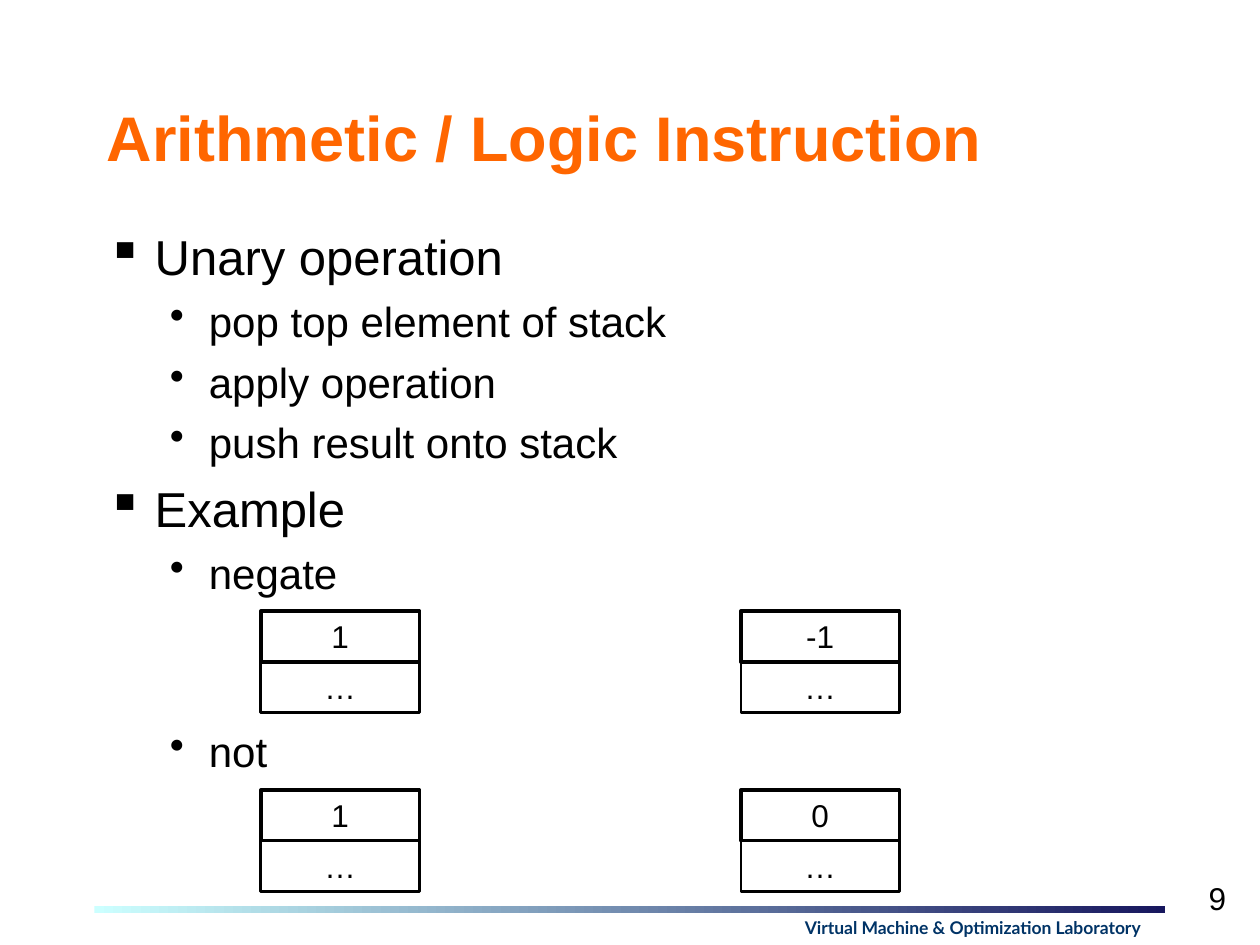
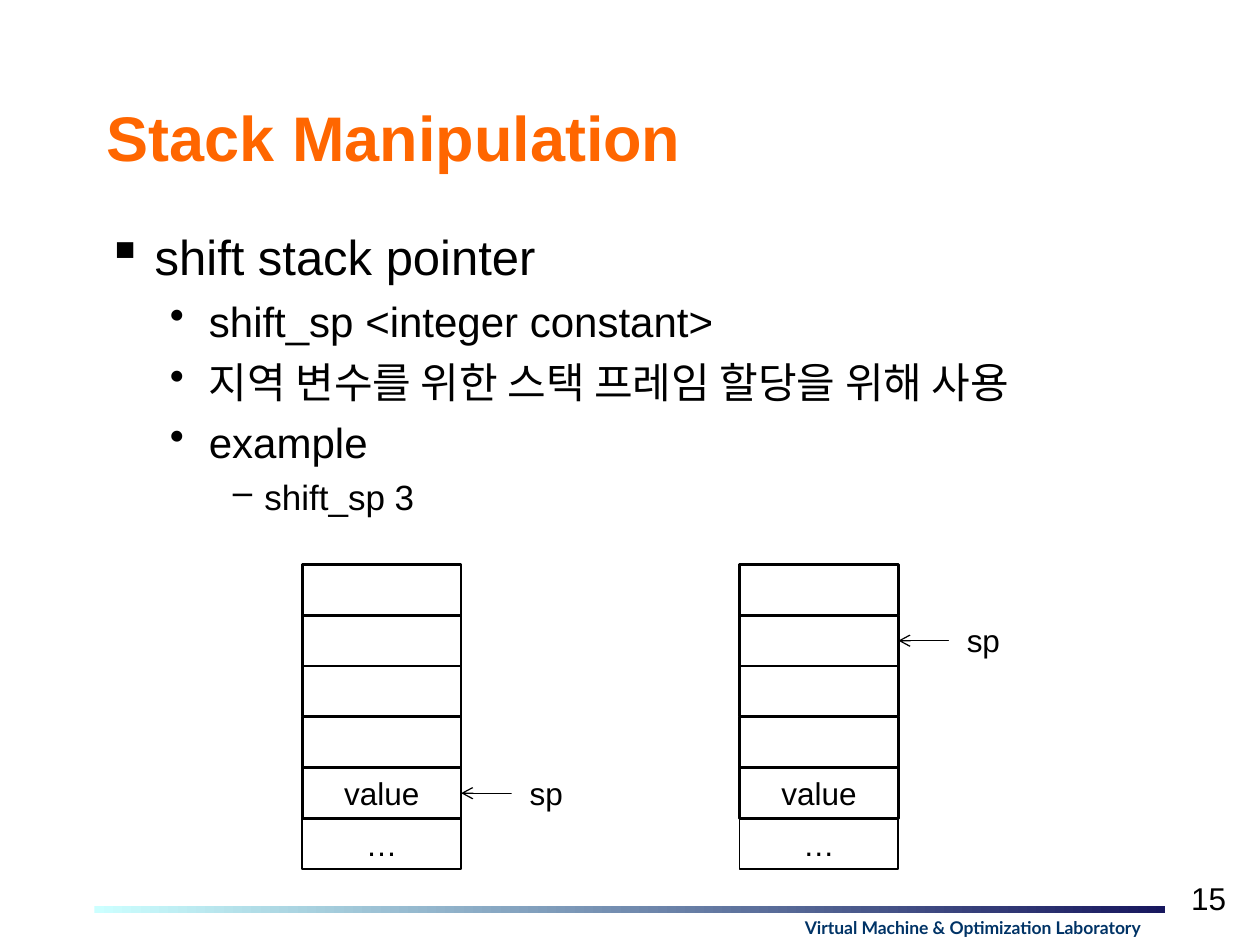
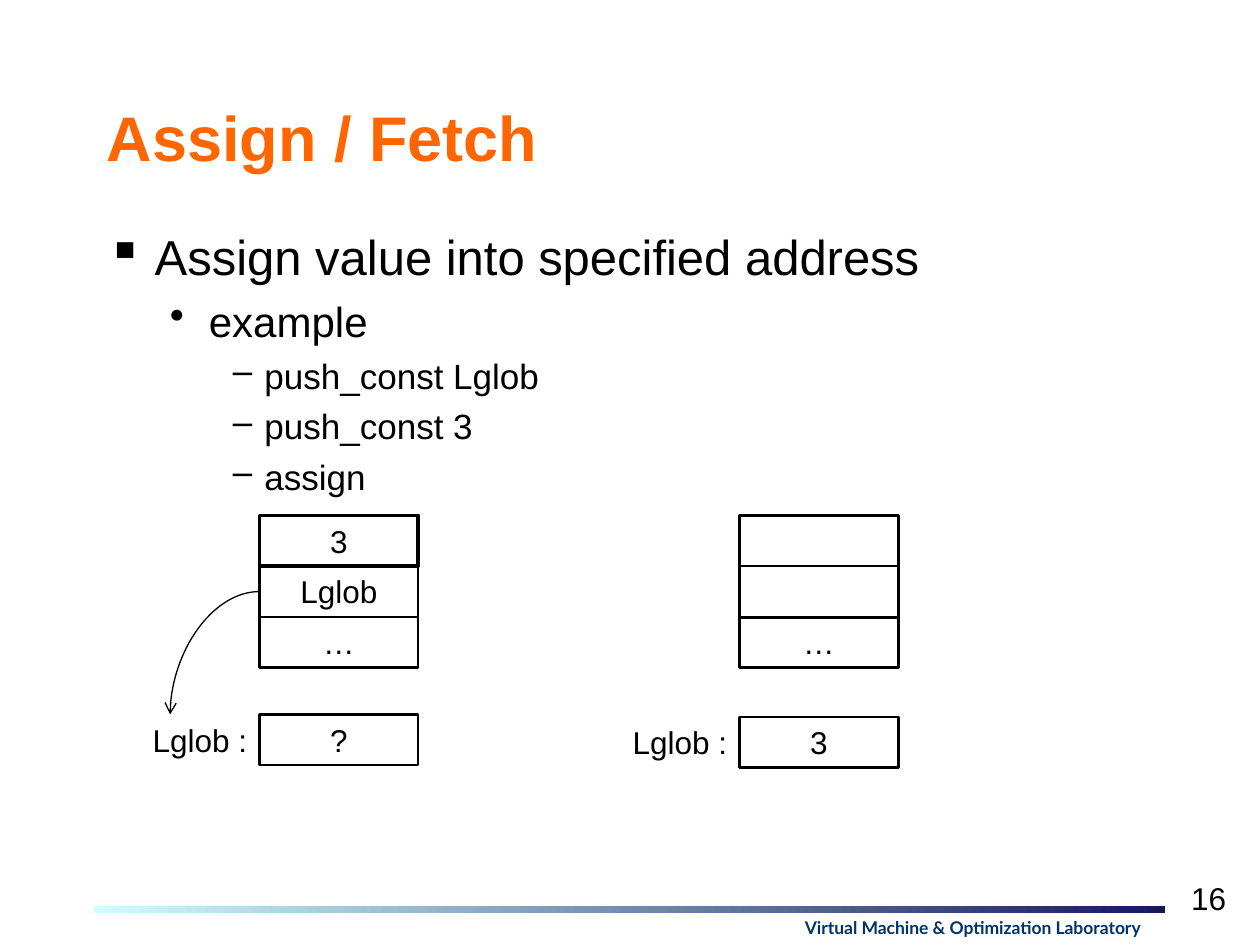
from lxml.etree import SubElement
from pptx import Presentation
from pptx.dml.color import RGBColor
from pptx.enum.shapes import MSO_CONNECTOR, MSO_SHAPE
from pptx.enum.text import MSO_ANCHOR, PP_ALIGN
from pptx.oxml.ns import qn
from pptx.util import Inches, Pt

# Content: bullets are (level, text); stacks list their cells from top to
# bottom as (text, line width); pointers are (text, stack, cell);
# variables are (name, value, stack, top)
SLIDES = [
    {
        "number": "9",
        "title": "Arithmetic / Logic Instruction",
        "bullets": [
            (0, "Unary operation"),
            (1, "pop top element of stack"),
            (1, "apply operation"),
            (1, "push result onto stack"),
            (0, "Example"),
            (1, "negate"),
            (1, "not"),
        ],
        "space_before": {"not": 73},  # room for the stacks above
        "stacks": [
            (2.07, 4.85, [("1", 2), ("…", 1.5)]),
            (5.88, 4.85, [("-1", 2), ("…", 1.5)]),
            (2.07, 6.27, [("1", 2), ("…", 1.5)]),
            (5.88, 6.27, [("0", 2), ("…", 1.5)]),
        ],
    },
    {
        "number": "15",
        "title": "Stack Manipulation",
        "bullets": [
            (0, "shift stack pointer"),
            (1, "shift_sp <integer constant>"),
            (1, "지역 변수를 위한 스택 프레임 할당을 위해 사용"),
            (1, "example"),
            (2, "shift_sp 3"),
        ],
        "stacks": [
            (left, 4.48, [("", 1.5)] * 4 + [("value", 1.5), ("…", 1)])
            for left in (2.4, 5.87)
        ],
        "pointers": [("sp", 0, 4), ("sp", 1, 1)],
    },
    {
        "number": "16",
        "title": "Assign / Fetch",
        "bullets": [
            (0, "Assign value into specified address"),
            (1, "example"),
            (2, "push_const Lglob"),
            (2, "push_const 3"),
            (2, "assign"),
        ],
        "stacks": [
            (2.06, 4.09, [("3", 2), ("Lglob", 1.5), ("…", 1.5)]),
            (5.87, 4.09, [("", 1.5), ("", 1.5), ("…", 2)]),
        ],
        "variables": [("Lglob :", "?", 0, 5.67), ("Lglob :", "3", 1, 5.69)],
        "reference": {"stack": 0, "cell": 1, "to": (1.35, 5.67)},
    },
]

# Shared style
BLACK, WHITE, ORANGE, NAVY = "000000", "FFFFFF", "FF6600", "003366"
BAND_COLORS = ("CCFFFF", "17175E")
FOOTER = "Virtual Machine & Optimization Laboratory"
LEFT, WIDTH = 0.75, 8.5
LEVELS = [  # bullet sign, size, left margin, hanging indent
    ("▪", 28, 0.38, 0.38),
    ("•", 24, 0.81, 0.31),
    ("–", 20, 1.25, 0.25),
]
SPACE_RATIO = 0.24
CELL_WIDTH, CELL_HEIGHT = 1.26, 1.21 / 3
ARROW_LENGTH, POINTER_WIDTH, NAME_WIDTH = 0.4, 0.55, 1.41


def color(value):
    return RGBColor.from_string(value)


def apply(target, values):
    for name, value in values.items():
        setattr(target, name, value)


def style_paragraph(paragraph, text, size, text_color=BLACK, bold=False,
                    font="Arial", align=PP_ALIGN.LEFT):
    paragraph.text = text
    paragraph.alignment = align
    apply(paragraph.font, {"name": font, "size": Pt(size), "bold": bold})
    paragraph.font.color.rgb = color(text_color)


def add_text(slide, box, text, size, anchor=MSO_ANCHOR.TOP, wrap=True, **style):
    frame = slide.shapes.add_textbox(*map(Inches, box)).text_frame
    apply(frame, {"word_wrap": wrap, "vertical_anchor": anchor})
    style_paragraph(frame.paragraphs[0], text, size, **style)


def add_rectangle(slide, box):
    shape = slide.shapes.add_shape(MSO_SHAPE.RECTANGLE, *map(Inches, box))
    shape.shadow.inherit = False
    shape.line.fill.background()
    return shape


def add_cell(slide, box, text, line_width=0, align=PP_ALIGN.CENTER):
    shape = add_rectangle(slide, box)
    shape.fill.solid()
    shape.fill.fore_color.rgb = color(WHITE)
    if line_width:
        shape.line.color.rgb = color(BLACK)
        shape.line.width = Pt(line_width)
    if text:
        shape.text_frame.vertical_anchor = MSO_ANCHOR.TOP
        style_paragraph(shape.text_frame.paragraphs[0], text, 18, align=align)


def add_arrow(slide, start, end, curved=False):
    kind = MSO_CONNECTOR.CURVE if curved else MSO_CONNECTOR.STRAIGHT
    connector = slide.shapes.add_connector(kind, *map(Inches, start + end))
    connector.line.color.rgb = color(BLACK)
    connector.line.width = Pt(0.75)
    properties = connector._element.spPr
    if curved:  # quarter turn instead of an S curve
        properties.find(qn("a:prstGeom")).set("prst", "curvedConnector2")
    SubElement(properties.find(qn("a:ln")), qn("a:tailEnd"), type="arrow")
    SubElement(properties, qn("a:effectLst"))


def add_frame(slide, title, number):
    """Title, page number, gradient band and footer."""
    add_text(slide, (9.33, 6.93, 0.5, 0.4), number, 18, wrap=False,
             anchor=MSO_ANCHOR.MIDDLE, align=PP_ALIGN.RIGHT)
    band = add_rectangle(slide, (LEFT, 7.19, WIDTH, 0.06))
    band.fill.gradient()
    band.fill.gradient_angle = 0
    for stop, value in zip(band.fill.gradient_stops, BAND_COLORS):
        stop.color.rgb = color(value)
    add_text(slide, (5.67, 7.23, 4.1, 0.27), FOOTER, 10, text_color=NAVY,
             bold=True, font="Lato", align=PP_ALIGN.CENTER)
    add_text(slide, (LEFT, 0.67, WIDTH, 0.83), title, 36, text_color=ORANGE,
             bold=True, anchor=MSO_ANCHOR.MIDDLE)


def add_bullets(slide, bullets, space_before):
    box = (LEFT, 1.75, WIDTH, 5.33)
    frame = slide.shapes.add_textbox(*map(Inches, box)).text_frame
    frame.word_wrap = True
    for index, (level, text) in enumerate(bullets):
        paragraph = frame.add_paragraph() if index else frame.paragraphs[0]
        sign, size, margin, hanging = LEVELS[level]
        style_paragraph(paragraph, text, size)
        paragraph.level = level
        paragraph.space_before = Pt(space_before.get(text, size * SPACE_RATIO))
        properties = paragraph._p.get_or_add_pPr()
        properties.set("marL", str(Inches(margin)))
        properties.set("indent", str(-Inches(hanging)))
        bullet = SubElement(properties, qn("a:buChar"), char=sign)
        properties.find(qn("a:defRPr")).addprevious(bullet)


def add_stack(slide, left, top, cells):
    for row, (text, line_width) in reversed(list(enumerate(cells))):
        box = (left, top + row * CELL_HEIGHT, CELL_WIDTH, CELL_HEIGHT)
        add_cell(slide, box, text, line_width)


def add_pointer(slide, text, stack, row):
    left, top, _ = stack
    right, row_top = left + CELL_WIDTH, top + row * CELL_HEIGHT
    middle = row_top + CELL_HEIGHT / 2
    start = right + ARROW_LENGTH
    add_arrow(slide, (start, middle), (right, middle))
    add_cell(slide, (start, row_top, POINTER_WIDTH, CELL_HEIGHT), text)


def add_variable(slide, name, value, left, top):
    add_cell(slide, (left - NAME_WIDTH, top, NAME_WIDTH, CELL_HEIGHT), name,
             align=PP_ALIGN.RIGHT)
    add_cell(slide, (left, top, CELL_WIDTH, CELL_HEIGHT), value, 1.5)


# Build the slides
presentation = Presentation()
presentation.slide_width, presentation.slide_height = Inches(10), Inches(7.5)
for content in SLIDES:
    slide = presentation.slides.add_slide(presentation.slide_layouts[6])
    stacks = content["stacks"]
    add_frame(slide, content["title"], content["number"])
    add_bullets(slide, content["bullets"], content.get("space_before", {}))
    for stack in stacks:
        add_stack(slide, *stack)
    for text, stack, row in content.get("pointers", []):
        add_pointer(slide, text, stacks[stack], row)
    for name, value, stack, top in content.get("variables", []):
        add_variable(slide, name, value, stacks[stack][0], top)
    if "reference" in content:
        reference = content["reference"]
        left, top, _ = stacks[reference["stack"]]
        start = (left, top + (reference["cell"] + 0.5) * CELL_HEIGHT)
        add_arrow(slide, start, reference["to"], curved=True)
presentation.save("out.pptx")
